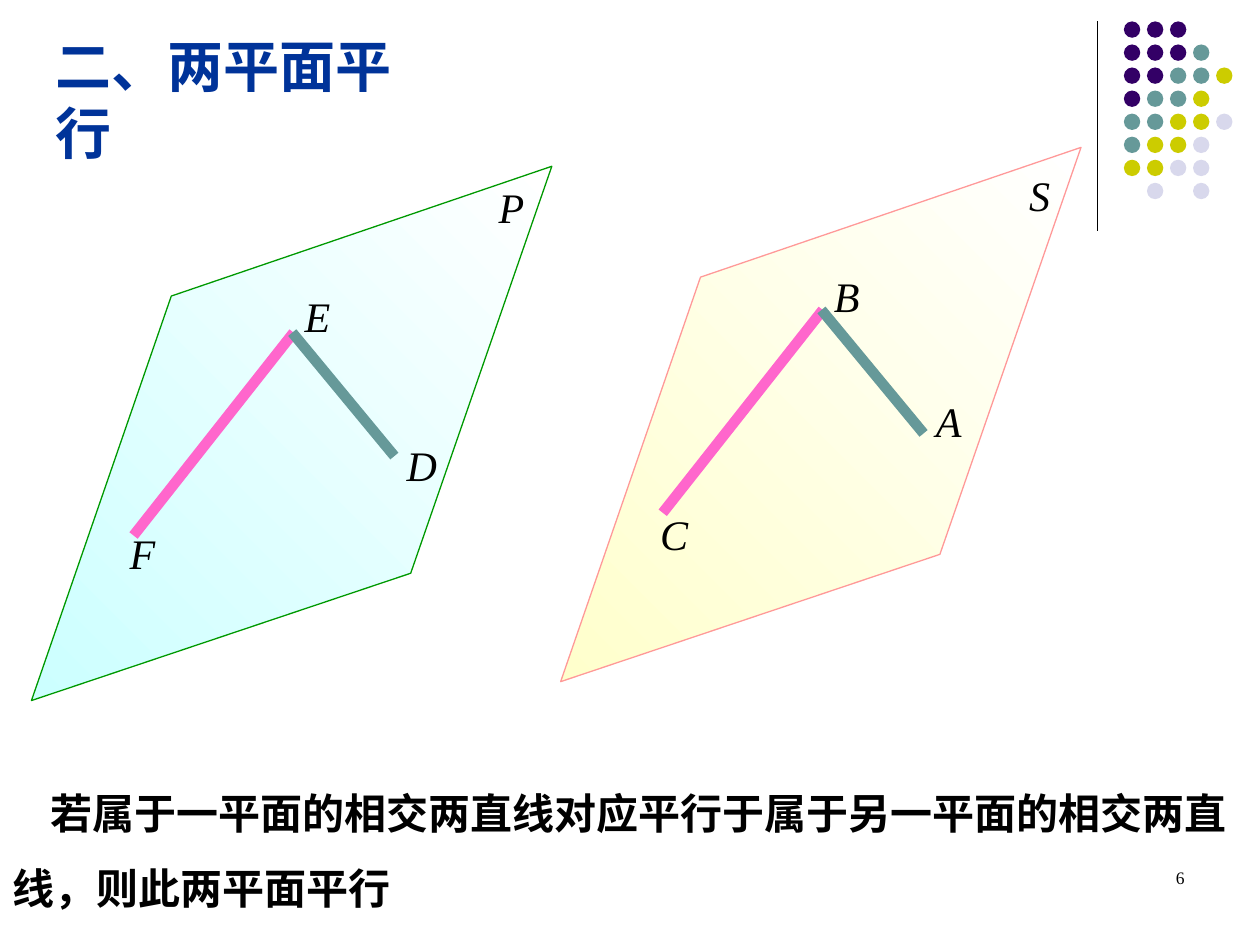
from pptx import Presentation
from pptx.dml.color import RGBColor
from pptx.enum.shapes import MSO_CONNECTOR as Connector, MSO_SHAPE as Shape
from pptx.enum.text import MSO_ANCHOR as Anchor, MSO_AUTO_SIZE as AutoSize, PP_ALIGN as Align
from pptx.oxml.ns import qn
from pptx.util import Inches, Pt
from lxml.etree import SubElement

BLACK = RGBColor(0x00, 0x00, 0x00)
WHITE = RGBColor(0xFF, 0xFF, 0xFF)
TITLE_BLUE = RGBColor(0x00, 0x33, 0x99)
PURPLE = RGBColor(0x33, 0x00, 0x66)
TEAL = RGBColor(0x66, 0x99, 0x99)
OLIVE = RGBColor(0xCC, 0xCC, 0x00)
LAVENDER = RGBColor(0xD8, 0xD8, 0xEC)
PINK = RGBColor(0xFF, 0x66, 0xCC)
CYAN = RGBColor(0xCC, 0xFF, 0xFF)
GREEN = RGBColor(0x00, 0x99, 0x00)
CREAM = RGBColor(0xFF, 0xFF, 0xCC)
SALMON = RGBColor(0xFF, 0x99, 0x99)

LATIN, HEADING, CHINESE = "Times New Roman", "Arial", "Noto Sans CJK SC"
COLUMNS, ROWS = 100, 75

DOT_COLORS = {"p": PURPLE, "t": TEAL, "o": OLIVE, "l": LAVENDER}
DOT_ROWS = ["ppp", "pppt", "pptto", "ptto", "ttool", "tool", "ooll", ".l.l"]
DOT_PITCH = 1.83

RHOMBUS = [(13.6, 23.5), (2.5, 55.6), (32.6, 45.5), (43.8, 13.2)]
LONG_LINE = [(23.3, 26.4), (10.6, 42.5)]
SHORT_LINE = [(23.2, 26.4), (31.3, 36.2)]
PLANES = [
    # plane shift, line shift, fill, outline, letters
    ((0, 0), (0, 0), CYAN, GREEN,
     {"P": (38.6, 13.9), "E": (23.2, 22.6), "F": (9.3, 41.4), "D": (31.3, 34.4)}),
    ((42, -1.5), (42, -1.8), CREAM, SALMON,
     {"S": (80.7, 13), "B": (65.2, 21), "C": (51.4, 39.9), "A": (73.3, 30.9)}),
]


def shifted(points, shift):
    return [(x + shift[0], y + shift[1]) for x, y in points]


class GeometrySlide:
    """Draws on one slide; lengths are columns and rows of a 100 by 75 grid."""

    def __init__(self, deck):
        self.column = deck.slide_width // COLUMNS
        self.row = deck.slide_height // ROWS
        self.slide = deck.slides.add_slide(deck.slide_layouts[5])
        self.shapes = self.slide.shapes

    def place(self, x, y):
        return round(x * self.column), round(y * self.row)

    def style(self, frame, text, size, font, color=BLACK, bold=False,
              italic=False, align=Align.LEFT):
        frame.text = text
        frame.vertical_anchor = Anchor.TOP
        paragraph = frame.paragraphs[0]
        paragraph.alignment = align
        face = paragraph.font
        face.name, face.size = font, Pt(size)
        face.bold, face.italic = bold, italic
        face.color.rgb = color
        SubElement(paragraph._p.pPr.find(qn("a:defRPr")), qn("a:ea"), typeface=CHINESE)
        return paragraph

    def title(self, text, x, y, width, height):
        heading = self.shapes.title
        heading.left, heading.top = self.place(x, y)
        heading.width, heading.height = self.place(width, height)
        frame = heading.text_frame
        frame.auto_size = AutoSize.NONE
        frame.word_wrap = False
        self.style(frame, text, 32, HEADING, TITLE_BLUE, bold=True)

    def text(self, text, x, y, width, height, size=24, font=LATIN, **look):
        box = self.shapes.add_textbox(*self.place(x, y), *self.place(width, height))
        box.text_frame.word_wrap = True
        return self.style(box.text_frame, text, size, font, **look)

    def theorem(self, text, x, y, width, height):
        paragraph = self.text(text, x, y, width, height, font=CHINESE, bold=True)
        paragraph.line_spacing = 1.5
        paragraph._p.pPr.set("indent", str(Inches(0.3)))

    def line(self, start, end, color, width):
        connector = self.shapes.add_connector(
            Connector.STRAIGHT, *self.place(*start), *self.place(*end))
        connector.line.color.rgb = color
        connector.line.width = Pt(width)
        SubElement(connector._element.spPr, qn("a:effectLst"))

    def plane(self, corners, color, outline):
        start, *others = [self.place(*corner) for corner in corners]
        builder = self.shapes.build_freeform(*start)
        builder.add_line_segments(others, close=True)
        plane = builder.convert_to_shape()
        plane.shadow.inherit = False
        plane.fill.gradient()
        plane.fill.gradient_angle = 225
        for stop, shade in zip(plane.fill.gradient_stops, (WHITE, color)):
            stop.color.rgb = shade
        plane.line.color.rgb = outline
        plane.line.width = Pt(0.75)

    def dot(self, x, y, color):
        dot = self.shapes.add_shape(Shape.OVAL, *self.place(x, y), *self.place(1.3, 1.3))
        dot.shadow.inherit = False
        dot.fill.solid()
        dot.fill.fore_color.rgb = color
        dot.line.fill.background()


def main():
    deck = Presentation()
    deck.slide_width, deck.slide_height = Inches(10), Inches(7.5)
    page = GeometrySlide(deck)

    page.line((87.1, 1.7), (87.1, 18.3), BLACK, 0.75)
    for row, codes in enumerate(DOT_ROWS):
        for column, code in enumerate(codes):
            if code in DOT_COLORS:
                page.dot(89.2 + column * DOT_PITCH, 1.7 + row * DOT_PITCH, DOT_COLORS[code])

    page.title("二、两平面平行", 3.4, 2, 33.1, 6.4)
    for plane_shift, line_shift, color, outline, letters in PLANES:
        page.plane(shifted(RHOMBUS, plane_shift), color, outline)
        page.line(*shifted(LONG_LINE, line_shift), PINK, 6)
        page.line(*shifted(SHORT_LINE, line_shift), TEAL, 6)
        for letter, corner in letters.items():
            page.text(letter, *corner, 3.3, 5, italic=True)

    page.theorem("若属于一平面的相交两直线对应平行于属于另一平面的相交两直线，则此两平面平行",
                 0, 60, 100, 13)
    page.text("6", 71.7, 68.3, 23.3, 5, size=10, align=Align.RIGHT)
    deck.save("out.pptx")


if __name__ == "__main__":
    main()
